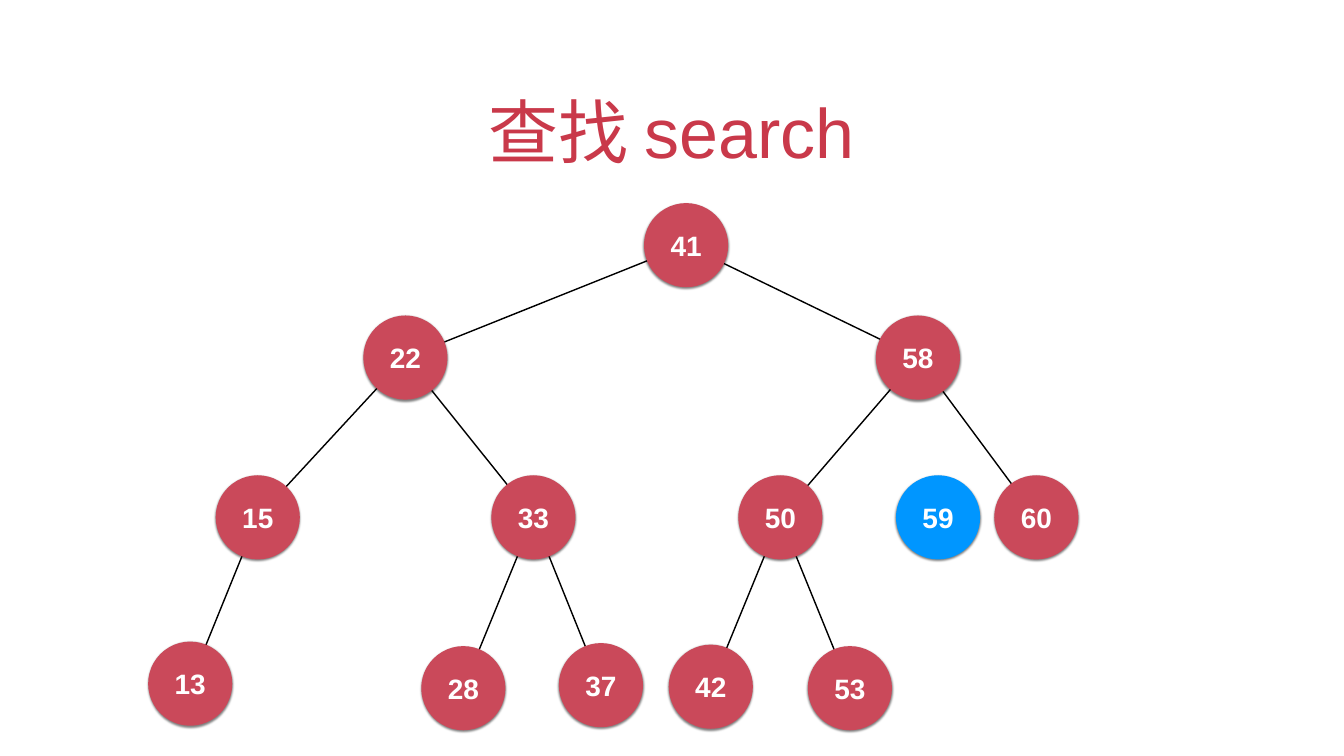
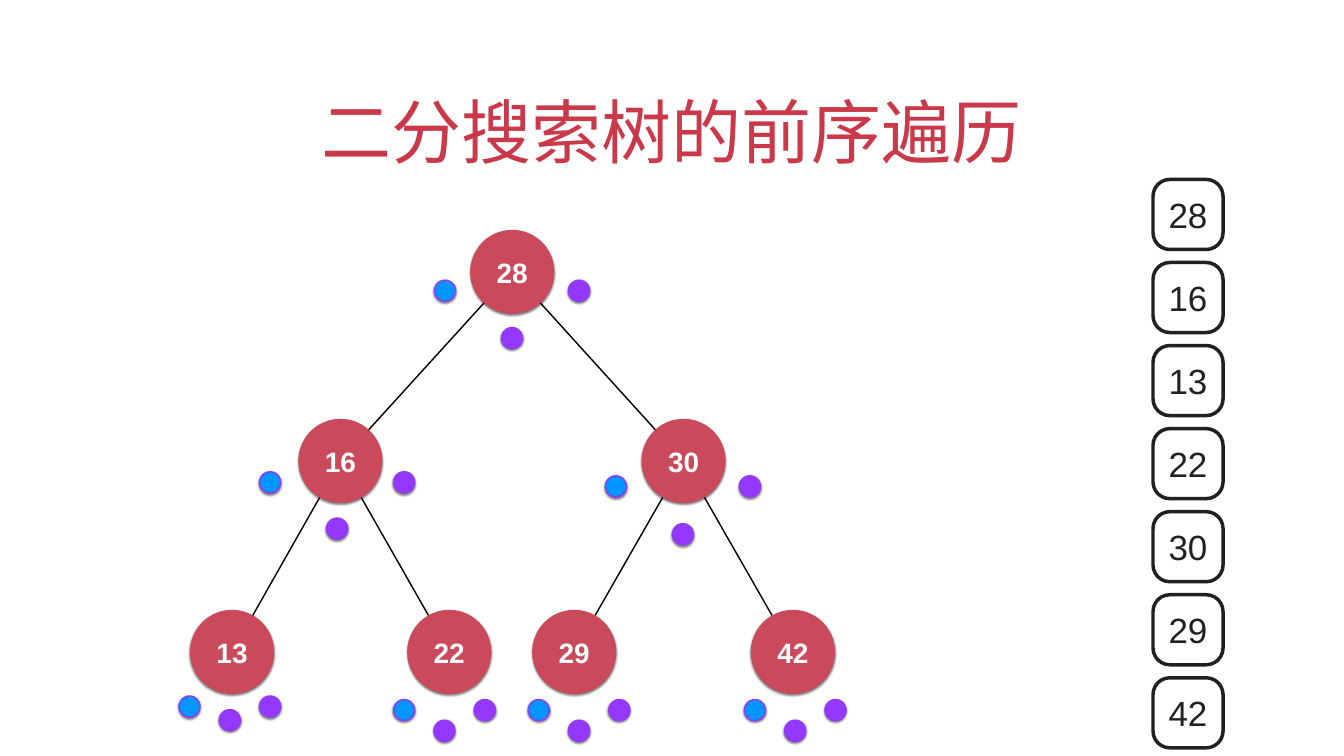
from lxml import etree
from pptx import Presentation
from pptx.dml.color import RGBColor
from pptx.enum.shapes import MSO_CONNECTOR, MSO_SHAPE
from pptx.enum.text import MSO_ANCHOR, PP_ALIGN
from pptx.oxml.ns import qn
from pptx.util import Inches, Pt

OVAL, BOX = MSO_SHAPE.OVAL, MSO_SHAPE.ROUNDED_RECTANGLE
LINE = MSO_CONNECTOR.STRAIGHT
CENTER = PP_ALIGN.CENTER
MIDDLE, BOTTOM = MSO_ANCHOR.MIDDLE, MSO_ANCHOR.BOTTOM

# Shared style
FONT = "Arial"
COLORS = {
    "title": "C9394A", "node": "CA495A", "blue": "0096FF", "violet": "9437FF",
    "white": "FFFFFF", "black": "000000", "ink": "212121",
}
NODE, DOT, CARD = 1.67, 0.42, 1.39
INSET = 0.06

# Search slide: value -> left, top of its node; edges as parent, child
SEARCH = "查找 search"
SEARCH_NODES = {
    41: (12.78, 4.03), 22: (7.21, 6.26), 58: (17.38, 6.26),
    15: (4.28, 9.43), 33: (9.75, 9.43), 50: (14.65, 9.43), 60: (19.73, 9.43),
    13: (2.94, 12.73), 28: (8.36, 12.82), 37: (11.09, 12.76),
    42: (13.27, 12.79), 53: (16.03, 12.82),
}
SEARCH_EDGES = [
    (41, 22), (41, 58), (22, 15), (22, 33), (58, 50), (58, 60),
    (15, 13), (33, 28), (33, 37), (50, 42), (50, 53),
]
TARGET = (59, 17.78, 9.43)

# Preorder slide
ORDER = "二分搜索树的前序遍历"
ORDER_NODES = {
    28: (9.33, 4.56), 16: (5.92, 8.31), 30: (12.73, 8.31),
    13: (3.77, 12.1), 22: (8.08, 12.1), 29: (10.56, 12.1), 42: (14.9, 12.1),
}
ORDER_EDGES = [(28, 16), (28, 30), (16, 13), (16, 22), (30, 29), (30, 42)]
VISITS = [28, 16, 13, 22, 30, 29, 42]
# Visit dots of a node: left, top, step across, drop of the middle dot
TRIOS = [
    (8.62, 5.56, 1.33, 0.94), (5.15, 9.36, 1.33, 0.92),
    (3.55, 13.81, 0.8, 0.27), (7.81, 13.88, 0.8, 0.41),
    (10.48, 13.88, 0.8, 0.41), (14.77, 13.88, 0.8, 0.41),
    (12.01, 9.44, 1.33, 0.95),
]
CARD_LEFT, CARD_TOP, CARD_STEP = 22.88, 3.56, 1.648


def rgb(name):
    return RGBColor.from_string(COLORS[name])


def write(shape, text, size, color, bold=False, anchor=MIDDLE):
    frame = shape.text_frame
    frame.word_wrap = True
    frame.vertical_anchor = anchor
    frame.margin_left = frame.margin_right = Inches(INSET)
    frame.margin_top = frame.margin_bottom = Inches(INSET)
    frame.text = str(text)
    para = frame.paragraphs[0]
    para.alignment = CENTER
    font = para.runs[0].font
    font.name, font.size, font.bold = FONT, Pt(size), bold
    font.color.rgb = rgb(color)


def draw(shapes, kind, left, top, size, fill=None, line=None, width=2):
    shape = shapes.add_shape(kind, Inches(left), Inches(top), Inches(size), Inches(size))
    if fill:
        shape.fill.solid()
        shape.fill.fore_color.rgb = rgb(fill)
    else:
        shape.fill.background()
    if line:
        shape.line.color.rgb = rgb(line)
        shape.line.width = Pt(width)
    else:
        shape.line.fill.background()
    shape.shadow.inherit = False
    return shape


def shade(shape):
    """Soft shadow straight below the shape."""
    effects = shape._element.spPr.find(qn("a:effectLst"))
    outer = etree.SubElement(
        effects, qn("a:outerShdw"), blurRad=str(Pt(3)), dist=str(Pt(2)),
        dir="5400000", rotWithShape="0")
    color = etree.SubElement(outer, qn("a:srgbClr"), val=COLORS["black"])
    etree.SubElement(color, qn("a:alpha"), val="50000")


def add_node(shapes, value, left, top, fill="node"):
    node = draw(shapes, OVAL, left, top, NODE, fill)
    shade(node)
    write(node, value, 40, "white", bold=True)


def add_tree(shapes, nodes, edges):
    """Edges run from centre to centre, below the nodes."""
    for pair in edges:
        ends = [Inches(at + NODE / 2) for value in pair for at in nodes[value]]
        edge = shapes.add_connector(LINE, *ends)
        edge.line.color.rgb = rgb("black")
        edge.line.width = Pt(2)
        etree.SubElement(edge._element.spPr, qn("a:effectLst"))
    for value, (left, top) in nodes.items():
        add_node(shapes, value, left, top)


def add_dots(shapes, left, top, step, drop):
    for i, fill in enumerate(("blue", "violet", "violet")):
        down = drop if i == 1 else 0
        shade(draw(shapes, OVAL, left + i * step, top + down, DOT, fill, "violet"))


def add_slide(deck, title):
    slide = deck.slides.add_slide(deck.slide_layouts[6])
    box = slide.shapes.add_textbox(Inches(1.94), Inches(1.27), Inches(22.78), Inches(2.22))
    write(box, title, 100, "title", anchor=BOTTOM)
    return slide.shapes


def main():
    deck = Presentation()
    deck.slide_width, deck.slide_height = Inches(26.67), Inches(15)

    # Search
    shapes = add_slide(deck, SEARCH)
    add_tree(shapes, SEARCH_NODES, SEARCH_EDGES)
    add_node(shapes, *TARGET, fill="blue")

    # Preorder walk
    shapes = add_slide(deck, ORDER)
    add_tree(shapes.add_group_shape().shapes, ORDER_NODES, ORDER_EDGES)
    for trio in TRIOS:
        add_dots(shapes, *trio)
    for i, value in enumerate(VISITS):
        card = draw(shapes, BOX, CARD_LEFT, CARD_TOP + i * CARD_STEP, CARD, line="ink", width=5)
        card.adjustments[0] = 0.24
        write(card, value, 50, "ink")

    deck.save("out.pptx")


if __name__ == "__main__":
    main()
